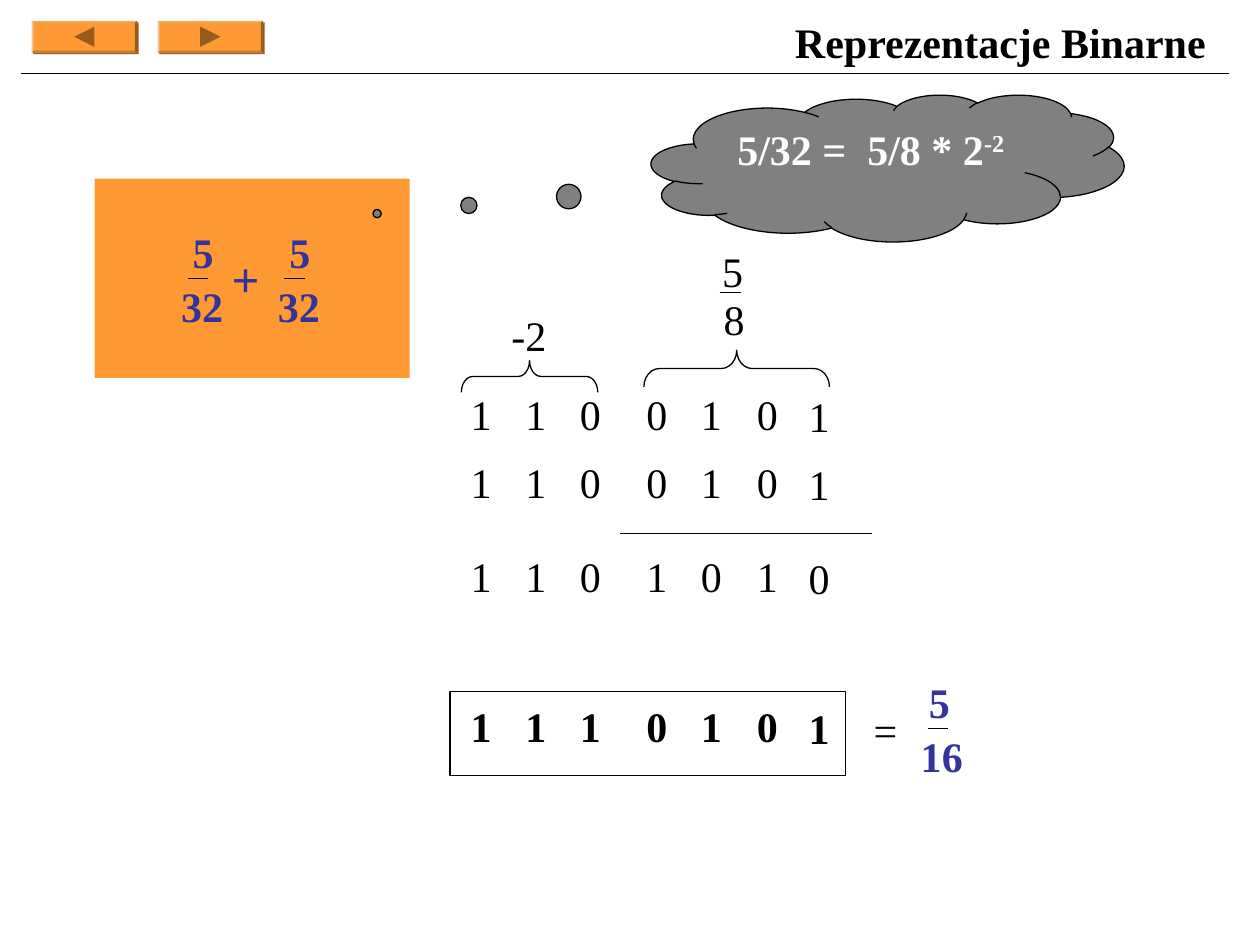
import pptx
import pptx.dml.color
import pptx.enum.shapes
import pptx.enum.text
import pptx.oxml
import pptx.oxml.ns
import pptx.util
from lxml import etree

Cm = pptx.util.Cm
Pt = pptx.util.Pt
RGBColor = pptx.dml.color.RGBColor
Shape = pptx.enum.shapes.MSO_SHAPE
Align = pptx.enum.text.PP_ALIGN
Anchor = pptx.enum.text.MSO_ANCHOR
qn = pptx.oxml.ns.qn

BLACK = RGBColor(0x00, 0x00, 0x00)
WHITE = RGBColor(0xFF, 0xFF, 0xFF)
ORANGE = RGBColor(0xFF, 0x99, 0x33)
BROWN = RGBColor(0x98, 0x5B, 0x1E)
BLUE = RGBColor(0x33, 0x33, 0x99)
GREY = RGBColor(0x80, 0x80, 0x80)
FONT = "Times New Roman"

# All lengths are centimetres.
TITLE = "Reprezentacje Binarne"
CLOUD_TEXT, CLOUD_EXPONENT = "5/32 =  5/8 * 2", "-2"

# Digits, top of the row, bold
BIT_ROWS = [
    ("1100101", 7.7, False),
    ("1100101", 9.08, False),
    ("1101010", 10.98, False),
    ("1110101", 14.0, True),
]
BIT_LEFTS = [9.24, 10.34, 11.44, 12.78, 13.88, 15.01, 16.05]
LAST_BIT_DROP = 0.04

# Numerator, denominator, their lefts, left of the bar, top
FRACTIONS = [
    ("5", "32", 3.56, 3.35, 3.78, 4.45),
    ("5", "32", 5.51, 5.3, 5.73, 4.45),
    ("5", "16", 18.4, 18.26, 18.7, 13.51),
]
BAR_WIDTH = 0.42

# Text, left, top, width
PLAIN_LABELS = [
    ("-2", 10.06, 6.11, 2.34),
    ("5", 14.31, 4.83, 3.18),
    ("8", 14.34, 5.79, 3.18),
    ("=", 17.36, 14.07, 1.7),
]

# Left, top, length, depth
BRACES = [(9.3, 7.27, 2.75, 0.64), (12.98, 7.06, 3.74, 0.74)]

# Left, right, height on the slide
RULES = [(0.43, 24.77, 1.48), (12.5, 17.58, 10.76), (14.51, 14.94, 5.89)]

# Left of the button, rotation of its arrow
BUTTONS = [(0.64, -90), (3.18, 90)]

prs = pptx.Presentation()
prs.slide_width, prs.slide_height = Cm(25.4), Cm(19.05)
slide = prs.slides.add_slide(prs.slide_layouts[6])


def style_font(paragraph, size, color, bold):
    font = paragraph.font
    font.name, font.size, font.bold = FONT, Pt(size), bold
    font.color.rgb = color


def label(text, left, top, width, height=1.27, size=24, color=BLACK, bold=False,
          align=Align.LEFT, anchor=Anchor.TOP):
    frame = slide.shapes.add_textbox(Cm(left), Cm(top), Cm(width), Cm(height)).text_frame
    frame.word_wrap = True
    frame.vertical_anchor = anchor
    paragraph = frame.paragraphs[0]
    paragraph.text = text
    paragraph.alignment = align
    style_font(paragraph, size, color, bold)


def rule(left, right, y):
    """Draw a thin horizontal black line."""
    line = slide.shapes.add_connector(
        pptx.enum.shapes.MSO_CONNECTOR.STRAIGHT, Cm(left), Cm(y), Cm(right), Cm(y))
    line.line.color.rgb = BLACK
    line.line.width = Pt(0.75)
    etree.SubElement(line._element.spPr, qn("a:effectLst"))


def preset(kind, left, top, width, height, fill=None, outline=None):
    shape = slide.shapes.add_shape(kind, Cm(left), Cm(top), Cm(width), Cm(height))
    shape.shadow.inherit = False
    if fill is None:
        shape.fill.background()
    else:
        shape.fill.solid()
        shape.fill.fore_color.rgb = fill
    if outline is None:
        shape.line.fill.background()
    else:
        shape.line.color.rgb = outline
        shape.line.width = Pt(0.75)
    return shape


def button(left, rotation):
    top, width, height, arrow = 0.42, 2.12, 0.64, 0.41
    face = preset(Shape.BEVEL, left, top, width, height, ORANGE)
    face.adjustments[0] = 0.06
    effects = face._element.spPr.find(qn("a:effectLst"))
    shadow = etree.SubElement(effects, qn("a:outerShdw"), dist="17780", dir="2700000")
    etree.SubElement(shadow, qn("a:srgbClr"), val=str(BROWN))
    triangle = preset(Shape.ISOSCELES_TRIANGLE, left + (width - arrow) / 2,
                      top + (height - arrow) / 2, arrow, arrow, BROWN)
    triangle.rotation = rotation


def brace(left, top, length, depth):
    """Draw a left brace turned to lie above the digits it groups."""
    shape = preset(Shape.LEFT_BRACE, left + (length - depth) / 2,
                   top - (length - depth) / 2, depth, length, outline=BLACK)
    shape.rotation = 90
    shape.adjustments[0] = length / 12 / depth


def fraction(numerator, denominator, upper_left, lower_left, bar_left, top):
    look = dict(color=BLUE, bold=True, align=Align.CENTER)
    label(numerator, upper_left, top, 1.07, **look)
    label(denominator, lower_left, top + 1.09, 1.45, **look)
    rule(bar_left, bar_left + BAR_WIDTH, top + 1.17)


label(TITLE, 15.24, 0.2, 9.32, bold=True, align=Align.RIGHT, anchor=Anchor.MIDDLE)
for place in BUTTONS:
    button(*place)
preset(Shape.RECTANGLE, 1.91, 3.6, 6.35, 4.02, ORANGE)

for parts in FRACTIONS:
    fraction(*parts)
label("+", 4.42, 4.88, 2.34, 1.45, size=28, color=BLUE, bold=True)

for bits, top, bold in BIT_ROWS:
    for column, (bit, left) in enumerate(zip(bits, BIT_LEFTS)):
        drop = LAST_BIT_DROP if column == len(bits) - 1 else 0
        label(bit, left, top + drop, 1.27, bold=bold)

for parts in PLAIN_LABELS:
    label(*parts)
for ends in RULES:
    rule(*ends)
for place in BRACES:
    brace(*place)
preset(Shape.RECTANGLE, 9.07, 13.94, 7.98, 1.7, outline=BLACK)

cloud = preset(Shape.CLOUD_CALLOUT, 13.13, 1.91, 9.53, 2.96, GREY, BLACK)
cloud.adjustments[0], cloud.adjustments[1] = -1.08, 0.31
cloud.text_frame.vertical_anchor = Anchor.TOP
equation = cloud.text_frame.paragraphs[0]
equation.alignment = Align.CENTER
equation.add_run().text = CLOUD_TEXT
exponent = equation.add_run()
exponent.text = CLOUD_EXPONENT
exponent._r.get_or_add_rPr().set("baseline", "30000")
style_font(equation, 24, WHITE, True)

prs.save("out.pptx")
